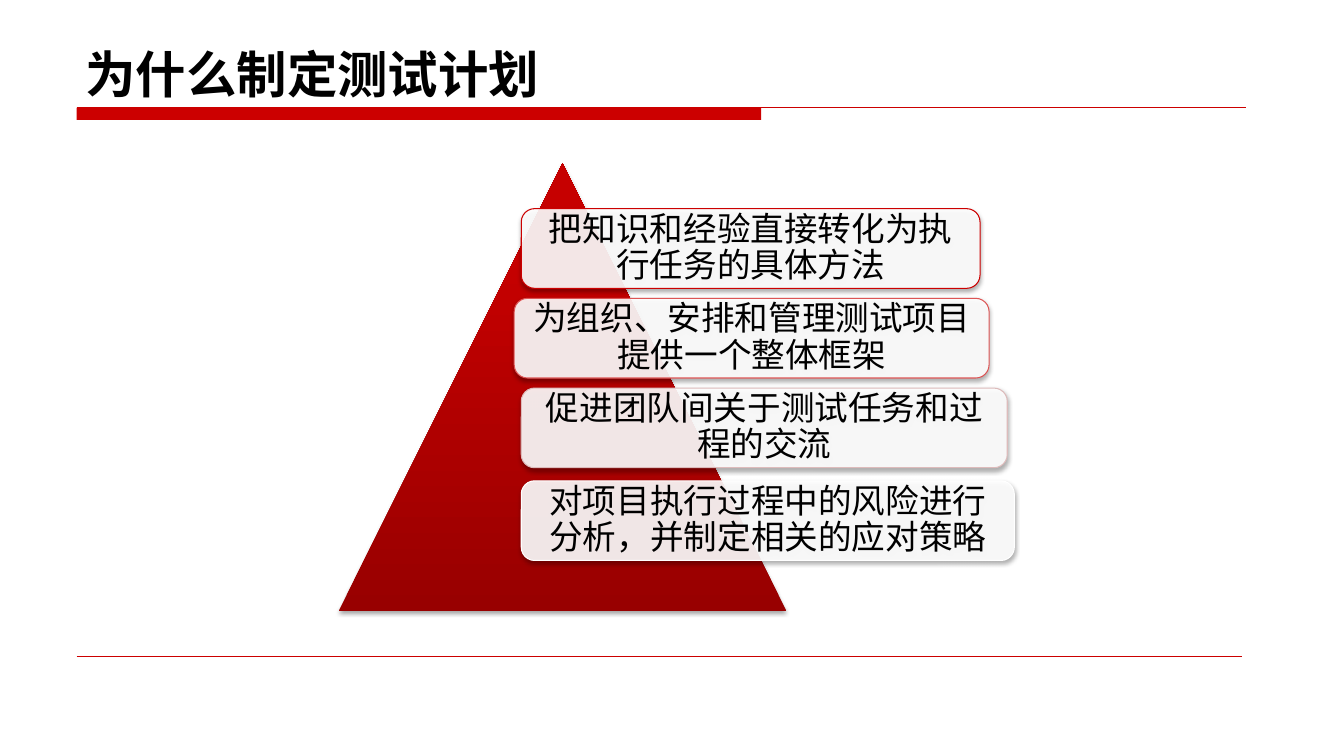
"""Build the slide on why a test plan is made: a pyramid with four reasons."""
import pptx
import pptx.util
import pptx.dml.color
import pptx.enum.shapes
import pptx.enum.text
import pptx.oxml
import pptx.oxml.ns

Inches, Pt = pptx.util.Inches, pptx.util.Pt
SHAPE = pptx.enum.shapes.MSO_SHAPE
ANCHOR = pptx.enum.text.MSO_ANCHOR
NS = pptx.oxml.ns.nsdecls("a")
SHADOW = (f'<a:effectLst {NS}><a:outerShdw blurRad="39370" dist="22860" dir="5400000" rotWithShape="0">'
          '<a:srgbClr val="000000"><a:alpha val="35000"/></a:srgbClr></a:outerShdw></a:effectLst>')


def rgb(value):
    return pptx.dml.color.RGBColor.from_string(value)


def write(sp, text, size, font, anchor, inset):
    tf = sp.text_frame
    tf.word_wrap = True
    tf.vertical_anchor = anchor
    tf.margin_left = tf.margin_right = Inches(inset)
    tf.text = text
    p = tf.paragraphs[0]
    r = p.runs[0]
    r.font.size, r.font.name = Pt(size), font
    r.font.color.rgb = rgb("000000")
    r.font._element.append(pptx.oxml.parse_xml(f'<a:ea {NS} typeface="{font}"/>'))
    return p


prs = pptx.Presentation()
prs.slide_width, prs.slide_height = Inches(13.33), Inches(7.5)
s = prs.slides.add_slide(prs.slide_layouts[6])

bar = s.shapes.add_shape(SHAPE.RECTANGLE, Inches(0.76), Inches(1.07), Inches(6.79), Inches(0.12))
bar.shadow.inherit = False
bar.fill.solid()
bar.fill.fore_color.rgb = rgb("CC0000")
bar.line.fill.background()

for right, y, width in [(12.36, 1.07, 0.75), (12.32, 6.51, 0.25)]:
    rule = s.shapes.add_connector(pptx.enum.shapes.MSO_CONNECTOR.STRAIGHT,
                                  Inches(0.76), Inches(y), Inches(right), Inches(y))
    rule.line.color.rgb = rgb("CC0000")
    rule.line.width = Pt(width)
    rule._element.spPr.append(pptx.oxml.parse_xml(f"<a:effectLst {NS}/>"))

title = s.shapes.add_textbox(Inches(0.75), Inches(0.29), Inches(11.67), Inches(0.79))
p = write(title, "为什么制定测试计划", 36, "Noto Sans CJK SC", ANCHOR.BOTTOM, 0.1)
p.runs[0].font.bold = True

pyramid = s.shapes.add_shape(SHAPE.ISOSCELES_TRIANGLE, Inches(3.36), Inches(1.62), Inches(4.44), Inches(4.44))
pyramid.fill.gradient()
pyramid.fill.gradient_angle = 90
for stop, color, position in zip(pyramid.fill.gradient_stops, ["980000", "C60000"], [0, 0.8]):
    stop.color.rgb = rgb(color)
    stop.position = position
pyramid.line.fill.background()
pyramid._element.spPr.append(pptx.oxml.parse_xml(SHADOW))

reasons = [
    (5.17, 2.07, 4.55, "CC0000", "把知识和经验直接转化为执行任务的具体方法"),
    (5.1, 2.96, 4.71, "DD5555", "为组织、安排和管理测试项目提供一个整体框架"),
    (5.17, 3.85, 4.82, "DDBBBB", "促进团队间关于测试任务和过程的交流"),
    (5.17, 4.77, 4.89, "FFFFFF", "对项目执行过程中的风险进行分析，并制定相关的应对策略"),
]
for left, top, width, outline, text in reasons:
    card = s.shapes.add_shape(SHAPE.ROUNDED_RECTANGLE, Inches(left), Inches(top), Inches(width), Inches(0.79))
    card.fill.solid()
    card.fill.fore_color.rgb = rgb("FFFFFF")
    fill_color = card._element.spPr.find(pptx.oxml.ns.qn("a:solidFill"))[0]
    fill_color.append(pptx.oxml.parse_xml(f'<a:alpha {NS} val="90000"/>'))
    card.line.color.rgb = rgb(outline)
    card.line.width = Pt(0.75)
    card._element.spPr.append(pptx.oxml.parse_xml(SHADOW))
    p = write(card, text, 24, "DejaVu Sans", ANCHOR.MIDDLE, 0.14)
    p.alignment = pptx.enum.text.PP_ALIGN.CENTER
    p.line_spacing = 0.9

prs.save("out.pptx")
